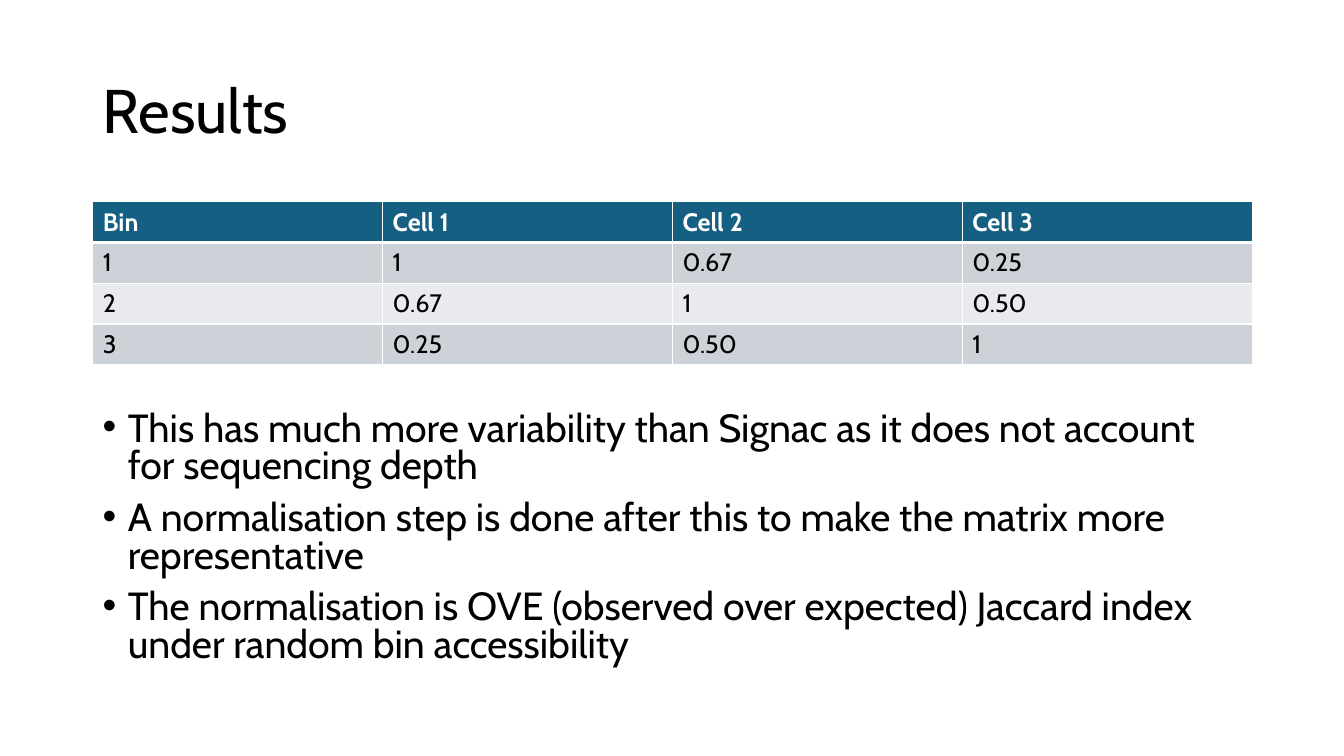
from dataclasses import dataclass

from lxml import etree
from pptx import Presentation
from pptx.dml.color import RGBColor
from pptx.enum.text import MSO_ANCHOR
from pptx.oxml.ns import qn
from pptx.slide import Slide
from pptx.table import _Cell
from pptx.text.text import TextFrame, _Paragraph
from pptx.util import Inches, Pt

TOP = MSO_ANCHOR.TOP
MIDDLE = MSO_ANCHOR.MIDDLE
FONT = "Cabin"
COLORS = {
    "text": "000000",
    "white": "FFFFFF",
    "header": "156082",
    "odd_row": "CCD2D8",
    "even_row": "E8EAED",
}
LEFT, WIDTH = 0.92, 11.5
ROW_HEIGHT = 0.405
THIN, THICK = 1, 3


@dataclass(frozen=True)
class RowStyle:
    fill: str
    text: str
    bold: bool
    top: int
    bottom: int


HEADER = RowStyle("header", "white", True, THIN, THICK)
FIRST = RowStyle("odd_row", "text", False, THICK, THIN)
ODD = RowStyle("odd_row", "text", False, THIN, THIN)
EVEN = RowStyle("even_row", "text", False, THIN, THIN)

SIMILARITY = [
    (HEADER, ("Bin", "Cell 1", "Cell 2", "Cell 3")),
    (FIRST, ("1", "1", "0.67", "0.25")),
    (EVEN, ("2", "0.67", "1", "0.50")),
    (ODD, ("3", "0.25", "0.50", "1")),
]
FINDINGS = [
    "This has much more variability than Signac as it does not account for sequencing depth",
    "A normalisation step is done after this to make the matrix more representative",
    "The normalisation is OVE (observed over expected) Jaccard index under random bin accessibility",
]


def set_font(paragraph: _Paragraph, size: int, color: str, bold: bool = False) -> None:
    font = paragraph.font
    font.name = FONT
    font.size = Pt(size)
    font.bold = bold
    font.color.rgb = RGBColor.from_string(COLORS[color])


def add_text_frame(slide: Slide, top: float, height: float, anchor: MSO_ANCHOR) -> TextFrame:
    box = slide.shapes.add_textbox(Inches(LEFT), Inches(top), Inches(WIDTH), Inches(height))
    frame = box.text_frame
    frame.word_wrap = True
    frame.vertical_anchor = anchor
    return frame


def add_title(slide: Slide, title: str) -> None:
    paragraph = add_text_frame(slide, 0.4, 1.45, MIDDLE).paragraphs[0]
    paragraph.text = title
    paragraph.line_spacing = 0.9
    set_font(paragraph, 44, "text")


def add_bullet(paragraph: _Paragraph) -> None:
    properties = paragraph._p.get_or_add_pPr()
    properties.set("marL", str(Inches(0.25)))
    properties.set("indent", str(Inches(-0.25)))
    etree.SubElement(properties, qn("a:buFont"), typeface="Arial")
    etree.SubElement(properties, qn("a:buChar"), char="•")


def add_findings(slide: Slide, findings: list[str]) -> None:
    frame = add_text_frame(slide, 4.04, 2.71, TOP)
    for index, finding in enumerate(findings):
        paragraph = frame.add_paragraph() if index else frame.paragraphs[0]
        paragraph.text = finding
        add_bullet(paragraph)
        paragraph.line_spacing = 0.8
        paragraph.space_before = Pt(10 if index else 0)
        set_font(paragraph, 28, "text")


def add_borders(cell: _Cell, style: RowStyle) -> None:
    properties = cell._tc.get_or_add_tcPr()
    widths = {"lnL": THIN, "lnR": THIN, "lnT": style.top, "lnB": style.bottom}
    for side, width in widths.items():
        line = etree.SubElement(properties, qn(f"a:{side}"), w=str(Pt(width)))
        fill = etree.SubElement(line, qn("a:solidFill"))
        etree.SubElement(fill, qn("a:srgbClr"), val=COLORS["white"])


def fill_cell(cell: _Cell, value: str, style: RowStyle) -> None:
    cell.text = value
    set_font(cell.text_frame.paragraphs[0], 18, style.text, style.bold)
    add_borders(cell, style)
    cell.fill.solid()
    cell.fill.fore_color.rgb = RGBColor.from_string(COLORS[style.fill])


def add_similarity_table(slide: Slide) -> None:
    row_count, column_count = len(SIMILARITY), len(SIMILARITY[0][1])
    table = slide.shapes.add_table(
        row_count, column_count, Inches(LEFT), Inches(2),
        Inches(WIDTH), Inches(ROW_HEIGHT * row_count),
    ).table
    table.horz_banding = False
    for row, (style, values) in enumerate(SIMILARITY):
        for column, value in enumerate(values):
            fill_cell(table.cell(row, column), value, style)


def main() -> None:
    presentation = Presentation()
    presentation.slide_width = Inches(13.33)
    presentation.slide_height = Inches(7.5)
    slide = presentation.slides.add_slide(presentation.slide_layouts[6])
    add_title(slide, "Results")
    add_findings(slide, FINDINGS)
    add_similarity_table(slide)
    presentation.save("out.pptx")


if __name__ == "__main__":
    main()
